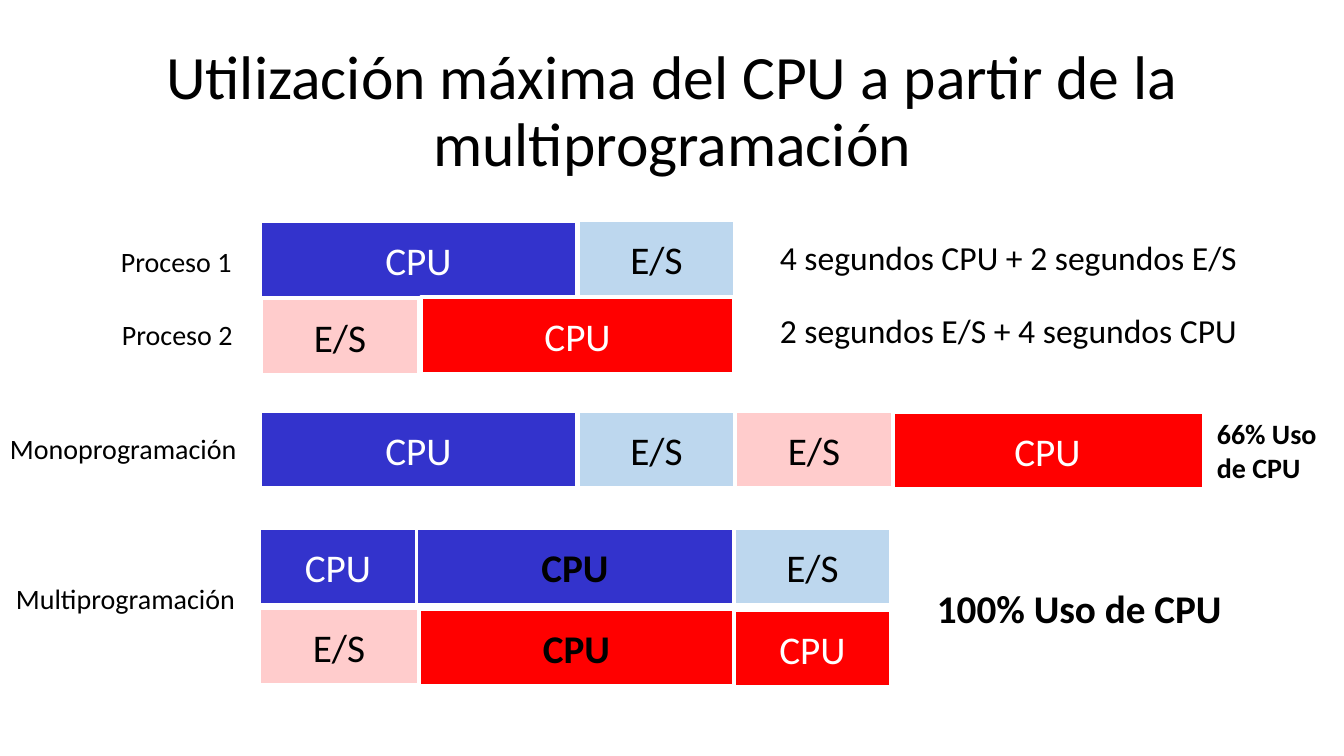
from pptx import Presentation
from pptx.dml.color import RGBColor as Rgb
from pptx.enum.dml import MSO_PATTERN as Pattern
from pptx.enum.shapes import MSO_SHAPE as Shape
from pptx.enum.text import MSO_ANCHOR as Anchor, MSO_AUTO_SIZE as AutoSize, PP_ALIGN as Align
from pptx.util import Emu, Pt

EMU_PER_PX = 914400 / 100.8
BAR_HEIGHT = 77
COLORS = {
    "black": "000000",
    "white": "FFFFFF",
    "cpu1": "3333CC",
    "io1": "BDD7EE",
    "cpu2": "FF0000",
    "io2": "FFCCCC",
}

# Each bar: process burst, left, top, width, both processes at work
TIMELINES = {
    "Proceso 1": [("cpu1", 260, 221, 317, False), ("io1", 578, 220, 157, False)],
    "Proceso 2": [("io2", 261, 298, 158, False), ("cpu2", 421, 297, 313, False)],
    "Monoprogramación": [
        ("cpu1", 260, 411, 317, False),
        ("io1", 578, 411, 157, False),
        ("io2", 735, 411, 158, False),
        ("cpu2", 891, 412, 313, False),
    ],
    "Multiprogramación": [
        ("cpu1", 259, 528, 158, False),
        ("cpu1", 416, 528, 318, True),
        ("io1", 734, 528, 157, False),
        ("io2", 259, 608, 160, False),
        ("cpu2", 419, 609, 315, True),
        ("cpu2", 734, 610, 157, False),
    ],
}
# Label box of each timeline: left, top, width, wrap
LABELS = {
    "Proceso 1": (111, 240, 132, False),
    "Proceso 2": (112, 313, 132, False),
    "Monoprogramación": (0, 427, 248, True),
    "Multiprogramación": (6, 577, 242, False),
}


def px(length):
    return Emu(round(length * EMU_PER_PX))


def color(name):
    return Rgb.from_string(COLORS[name])


def write(frame, text, size=20, fill="black", bold=False, align=Align.LEFT,
          anchor=Anchor.TOP, spacing=None, wrap=True):
    frame.word_wrap = wrap
    frame.vertical_anchor = anchor
    paragraph = frame.paragraphs[0]
    paragraph.alignment = align
    if spacing:
        paragraph.line_spacing = spacing
    run = paragraph.add_run()
    run.text = text
    run.font.name = "Calibri"
    run.font.size = Pt(size)
    run.font.bold = bold
    run.font.color.rgb = color(fill)


class SchedulingSlide:
    def __init__(self, presentation):
        self.shapes = presentation.slides.add_slide(presentation.slide_layouts[6]).shapes

    def text(self, text, left, top, width, height, grow=True, **style):
        frame = self.shapes.add_textbox(px(left), px(top), px(width), px(height)).text_frame
        write(frame, text, **style)
        frame.auto_size = AutoSize.SHAPE_TO_FIT_TEXT if grow else AutoSize.NONE

    def bar(self, burst, left, top, width, shared):
        """Draw one burst; a shared one is striped, with bold black text."""
        bar = self.shapes.add_shape(Shape.RECTANGLE, px(left), px(top), px(width), px(BAR_HEIGHT))
        bar.shadow.inherit = False
        if shared:
            bar.fill.patterned()
            bar.fill.pattern = Pattern.DARK_VERTICAL
            bar.fill.fore_color.rgb = color(burst)
            bar.fill.back_color.rgb = color("white")
        else:
            bar.fill.solid()
            bar.fill.fore_color.rgb = color(burst)
        bar.line.color.rgb = color("white")
        bar.line.width = Pt(2.25)
        is_cpu = burst.startswith("cpu")
        write(bar.text_frame, "CPU" if is_cpu else "E/S", size=28, bold=shared,
              fill="white" if is_cpu and not shared else "black",
              align=Align.CENTER, anchor=Anchor.MIDDLE)

    def timeline(self, name, bars):
        left, top, width, wrap = LABELS[name]
        self.text(name, left, top, width, 44, wrap=wrap)
        for bar in reversed(bars):  # earlier bursts lie on top of later ones
            self.bar(*bar)


def main():
    presentation = Presentation()
    presentation.slide_width = px(1344)
    presentation.slide_height = px(756)
    slide = SchedulingSlide(presentation)

    slide.text("Utilización máxima del CPU a partir de la multiprogramación",
               93, 40, 1159, 146, grow=False, size=44, align=Align.CENTER,
               anchor=Anchor.MIDDLE, spacing=0.9)
    for name, bars in TIMELINES.items():
        slide.timeline(name, bars)

    slide.text("4 segundos CPU + 2 segundos E/S", 770, 232, 481, 50, size=24, wrap=False)
    slide.text("2 segundos E/S + 4 segundos CPU", 770, 305, 481, 50, size=24, wrap=False)
    slide.text("66% Uso de CPU", 1207, 412, 137, 78, bold=True)
    slide.text("100% Uso de CPU", 927, 579, 314, 57, size=28, bold=True, wrap=False)
    presentation.save("out.pptx")


if __name__ == "__main__":
    main()
